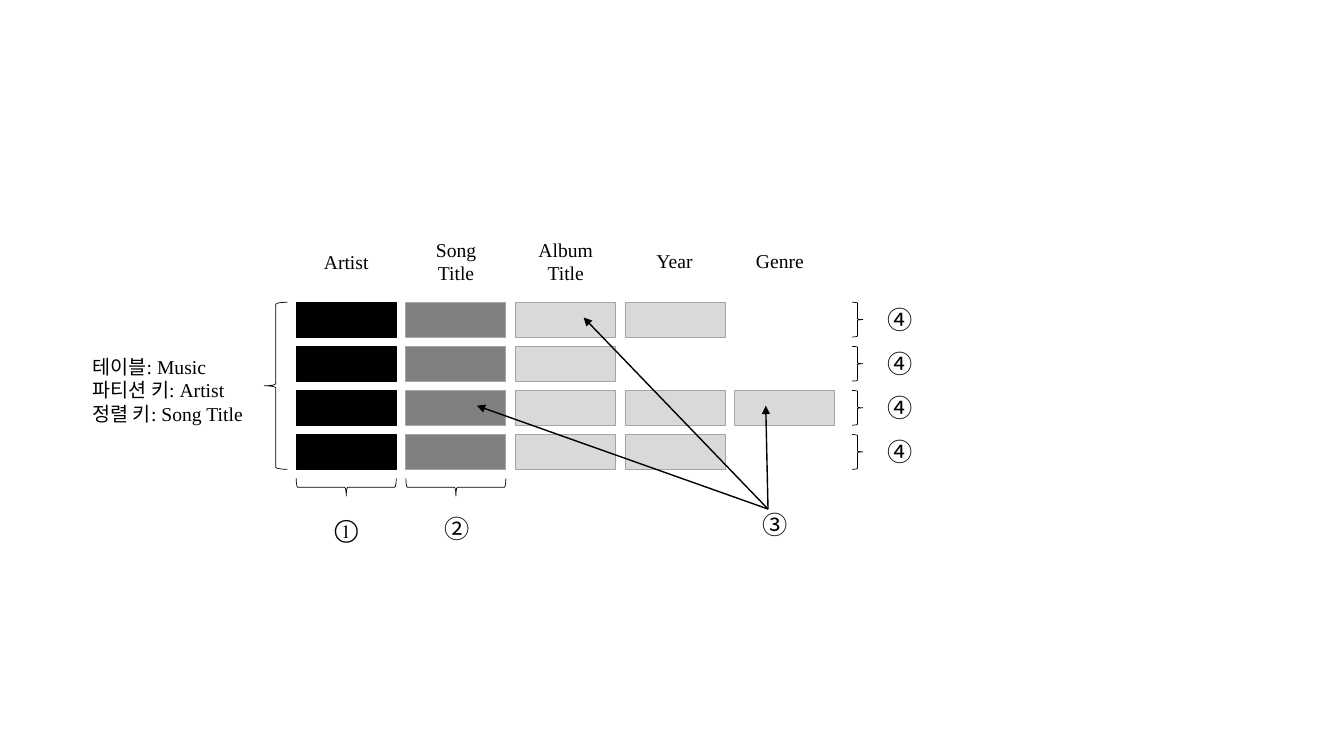
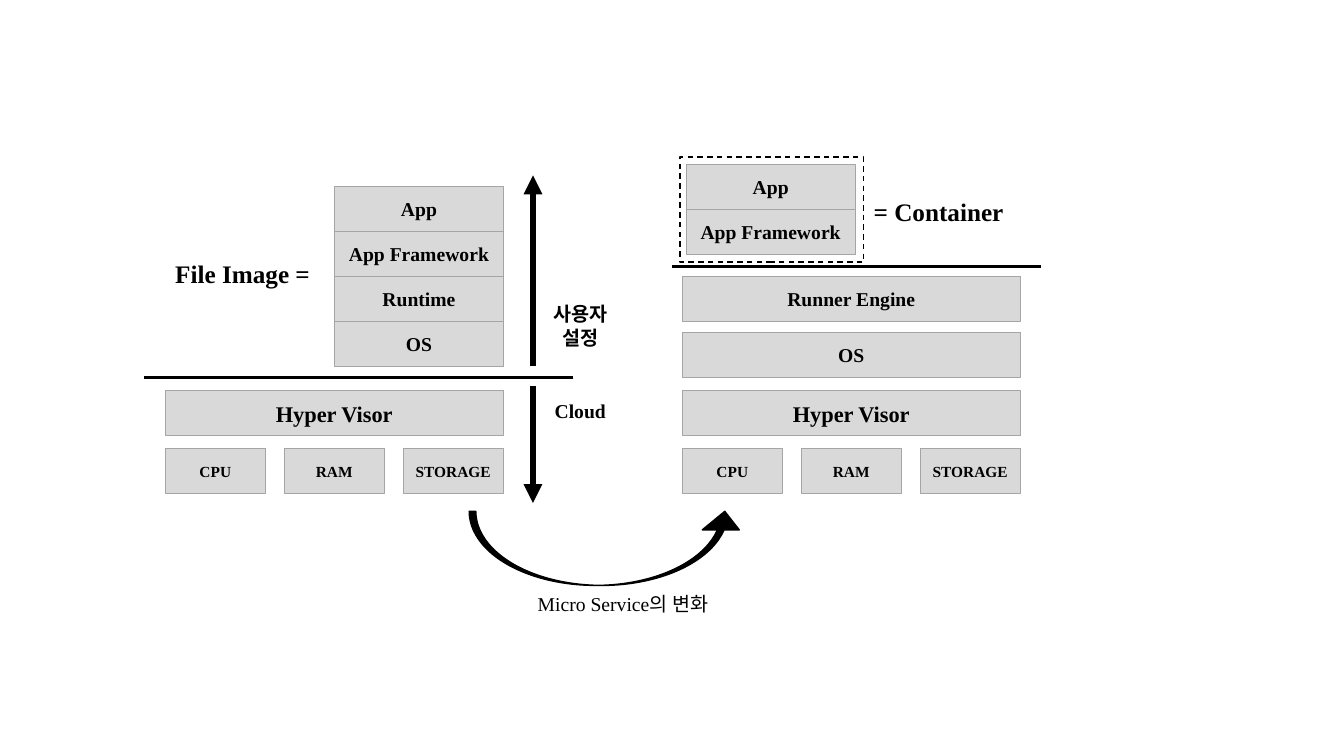
"""Build two diagram slides: a music table's keys and the move from file images to containers."""
from dataclasses import dataclass

from lxml.etree import SubElement
from pptx import Presentation
from pptx.dml.color import RGBColor
from pptx.enum.dml import MSO_LINE
from pptx.enum.shapes import MSO_CONNECTOR, MSO_SHAPE
from pptx.enum.text import MSO_ANCHOR, MSO_AUTO_SIZE, PP_ALIGN
from pptx.oxml.ns import qn
from pptx.shapes.autoshape import Shape
from pptx.slide import Slide
from pptx.text.text import TextFrame
from pptx.util import Pt

COLORS = {"black": "000000", "gray": "808080", "light": "D9D9D9", "edge": "A5A5A5"}
SERIF = "Times New Roman"
KOREAN = "Noto Sans CJK KR"


@dataclass(frozen=True)
class Frame:
    """Position and size in points."""
    left: float
    top: float
    width: float
    height: float


@dataclass(frozen=True)
class Style:
    """Look of a text."""
    size: float = 14
    bold: bool = False
    align: PP_ALIGN = PP_ALIGN.LEFT
    latin: str = SERIF
    asian: str = KOREAN


@dataclass(frozen=True)
class Label:
    """Free-standing text with one paragraph per line."""
    frame: Frame
    lines: tuple[str, ...]
    style: Style
    wrap: bool = False


@dataclass(frozen=True)
class Column:
    """Table column: heading lines, filled rows, colours and heading place."""
    lines: tuple[str, ...]
    rows: tuple[int, ...]
    fill: str
    edge: str
    heading: Frame


@dataclass(frozen=True)
class Line:
    """Straight line between two points."""
    start: tuple[float, float]
    end: tuple[float, float]
    weight: float
    arrow: bool = False


@dataclass(frozen=True)
class Bar:
    """Labelled layer of an architecture."""
    frame: Frame
    text: str
    size: float = 14


HEADING = Style(align=PP_ALIGN.CENTER)
CENTERED_BOLD = Style(bold=True, align=PP_ALIGN.CENTER)
BIG_BOLD = Style(18, bold=True)
MARK = Style(18, latin=KOREAN)
SERIF_MARK = Style(18, asian=SERIF)

CELL_WIDTH, CELL_HEIGHT = 71.5, 24.8
GRID_LEFT, GRID_TOP = 211.5, 215.9
COLUMN_STEP, ROW_STEP = 78.3, 31.5
ROW_COUNT = 4
ALL_ROWS = tuple(range(ROW_COUNT))
COLUMNS = (
    Column(("Artist",), ALL_ROWS, "black", "black", Frame(223.9, 175, 46.8, 24.5)),
    Column(("Song", "Title"), ALL_ROWS, "gray", "edge", Frame(303.8, 166.3, 43.9, 41)),
    Column(("Album", "Title"), ALL_ROWS, "light", "edge", Frame(377.1, 166.3, 54, 41)),
    Column(("Year",), (0, 2, 3), "light", "edge", Frame(461.7, 174.2, 40.3, 24.5)),
    Column(("Genre",), (2,), "light", "edge", Frame(532.6, 174.2, 49, 24.5)),
)

BAR_WIDTH, BAR_HEIGHT = 241.4, 32.2
STACK_WIDTH = 120.4
HARDWARE_WIDTH = 71.5


def color(name: str) -> RGBColor:
    """Return the named palette colour."""
    return RGBColor.from_string(COLORS[name])


def write(text_frame: TextFrame, lines: tuple[str, ...], style: Style) -> None:
    """Fill a text frame with one paragraph per line."""
    for index, line in enumerate(lines):
        para = text_frame.add_paragraph() if index else text_frame.paragraphs[0]
        para.alignment = style.align
        span = para.add_run()
        span.text = line
        span.font.size = Pt(style.size)
        span.font.bold = style.bold
        span.font.name = style.latin
        span.font.color.rgb = color("black")
        asian = SubElement(span.font._element, qn("a:ea"))
        asian.set("typeface", style.asian)


def add_box(page: Slide, kind: MSO_SHAPE, frame: Frame, fill: str | None = None,
            edge: str = "black", weight: float = 0.5) -> Shape:
    """Draw a preset shape, unfilled when no fill is named."""
    box = page.shapes.add_shape(kind, Pt(frame.left), Pt(frame.top),
                                Pt(frame.width), Pt(frame.height))
    box.shadow.inherit = False
    if fill:
        box.fill.solid()
        box.fill.fore_color.rgb = color(fill)
    else:
        box.fill.background()
    box.line.color.rgb = color(edge)
    box.line.width = Pt(weight)
    return box


def add_label(page: Slide, label: Label) -> None:
    """Draw a text box that grows with its text."""
    frame = label.frame
    box = page.shapes.add_textbox(Pt(frame.left), Pt(frame.top),
                                  Pt(frame.width), Pt(frame.height))
    box.text_frame.word_wrap = label.wrap
    box.text_frame.auto_size = MSO_AUTO_SIZE.SHAPE_TO_FIT_TEXT
    write(box.text_frame, label.lines, label.style)


def add_line(page: Slide, line: Line) -> None:
    """Draw a straight black line, with an arrowhead at its end if asked."""
    connector = page.shapes.add_connector(MSO_CONNECTOR.STRAIGHT, *map(Pt, line.start + line.end))
    connector.line.color.rgb = color("black")
    connector.line.width = Pt(line.weight)
    properties = connector._element.spPr
    if line.arrow:
        SubElement(properties.find(qn("a:ln")), qn("a:tailEnd")).set("type", "triangle")
    SubElement(properties, qn("a:effectLst"))


def add_brace(page: Slide, frame: Frame, rotation: float = 0) -> None:
    """Draw a right brace, turned by the given degrees."""
    add_box(page, MSO_SHAPE.RIGHT_BRACE, frame).rotation = rotation


def add_mark(page: Slide, left: float, top: float, text: str, style: Style = MARK) -> None:
    """Draw a circled number."""
    add_label(page, Label(Frame(left, top, 31, 29.1), (text,), style))


def add_bar(page: Slide, bar: Bar) -> None:
    """Draw a grey layer with centred bold text."""
    box = add_box(page, MSO_SHAPE.RECTANGLE, bar.frame, "light", "edge")
    box.text_frame.vertical_anchor = MSO_ANCHOR.MIDDLE
    write(box.text_frame, (bar.text,), Style(bar.size, True, PP_ALIGN.CENTER))


def add_stack(page: Slide, left: float, top: float, texts: tuple[str, ...]) -> None:
    """Draw touching layers from the top down."""
    for index, text in enumerate(texts):
        frame = Frame(left, top + index * BAR_HEIGHT, STACK_WIDTH, BAR_HEIGHT)
        add_bar(page, Bar(frame, text))


def add_platform(page: Slide, left: float) -> None:
    """Draw the hypervisor above its row of hardware."""
    add_bar(page, Bar(Frame(left, 279, BAR_WIDTH, BAR_HEIGHT), "Hyper Visor", 16))
    step = (BAR_WIDTH - HARDWARE_WIDTH) / 2
    for index, text in enumerate(("CPU", "RAM", "STORAGE")):
        frame = Frame(left + index * step, 320.4, HARDWARE_WIDTH, BAR_HEIGHT)
        add_bar(page, Bar(frame, text, 11))


def build_table_page(page: Slide) -> None:
    """Draw the music table with its keys, attributes and items."""
    for index, column in enumerate(COLUMNS):
        left = GRID_LEFT + index * COLUMN_STEP
        for row in column.rows:
            frame = Frame(left, GRID_TOP + row * ROW_STEP, CELL_WIDTH, CELL_HEIGHT)
            add_box(page, MSO_SHAPE.RECTANGLE, frame, column.fill, column.edge)
        add_label(page, Label(column.heading, column.lines, HEADING))

    add_label(page, Label(Frame(59, 249.8, 126.7, 58.3),
                          ("테이블: Music", "파티션 키: Artist", "정렬 키: Song Title"), Style()))
    grid_height = (ROW_COUNT - 1) * ROW_STEP + CELL_HEIGHT
    add_brace(page, Frame(188.7, GRID_TOP, 16.5, grid_height), 180)
    for row in ALL_ROWS:
        top = GRID_TOP + row * ROW_STEP
        add_brace(page, Frame(608.6, top, 7.8, CELL_HEIGHT))
        add_mark(page, 627.1, top - 2.1, "④")

    for index, (text, style) in enumerate((("①", SERIF_MARK), ("②", MARK))):
        offset = index * COLUMN_STEP
        add_brace(page, Frame(241 + offset, 312.3, 12.6, CELL_WIDTH), 90)
        add_mark(page, 231.9 + offset, 363.4, text, style)
    for end in ((416.9, 226.8), (340.6, 289.8), (547, 289.8)):
        add_line(page, Line((548.6, 363.6), end, 1, arrow=True))
    add_mark(page, 537.8, 360, "③")


def build_container_page(page: Slide) -> None:
    """Draw the file image and container architectures side by side."""
    left, right = 118.1, 487.4
    add_platform(page, left)
    add_stack(page, 239.1, 133, ("App", "App Framework", "Runtime", "OS"))
    add_platform(page, right)
    for top, text in ((237.4, "OS"), (197.3, "Runner Engine")):
        add_bar(page, Bar(Frame(right, top, BAR_WIDTH, BAR_HEIGHT), text))
    add_stack(page, 490.3, 117.2, ("App", "App Framework"))
    container = add_box(page, MSO_SHAPE.RECTANGLE, Frame(485.8, 112.3, 131, 75), weight=1)
    container.line.dash_style = MSO_LINE.DASH

    for line in (
        Line((409.5, 269.5), (103, 269.5), 2.25),
        Line((743.6, 190.5), (480.2, 190.5), 2.25),
        Line((380.7, 261.4), (380.7, 125.3), 4.5, arrow=True),
        Line((380.7, 275.8), (380.7, 359.3), 4.5, arrow=True),
    ):
        add_line(page, line)

    arrow = add_box(page, MSO_SHAPE.CURVED_RIGHT_ARROW, Frame(406.6, 293.8, 52.9, 195.8),
                    "black", weight=1)
    arrow.rotation = 270
    for index, value in enumerate((0.09, 0.5, 0.25)):
        arrow.adjustments[index] = value

    for label in (
        Label(Frame(118.1, 180.9, 111.6, 29.1), ("File Image =",), BIG_BOLD),
        Label(Frame(617, 136.4, 108, 29.1), ("= Container",), BIG_BOLD),
        Label(Frame(380.7, 212.3, 67.7, 41.2), ("사용자 설정",), CENTERED_BOLD, wrap=True),
        Label(Frame(380.7, 281.2, 67.7, 24.2), ("Cloud",), CENTERED_BOLD, wrap=True),
        Label(Frame(341.3, 419.5, 207.4, 24.2), ("Micro Service의 변화",), HEADING, wrap=True),
    ):
        add_label(page, label)


def main() -> None:
    """Build and save the deck."""
    deck = Presentation()
    deck.slide_width, deck.slide_height = Pt(960), Pt(540)
    blank = deck.slide_layouts.get_by_name("Blank")
    for build in (build_table_page, build_container_page):
        build(deck.slides.add_slide(blank))
    deck.save("out.pptx")


if __name__ == "__main__":
    main()
